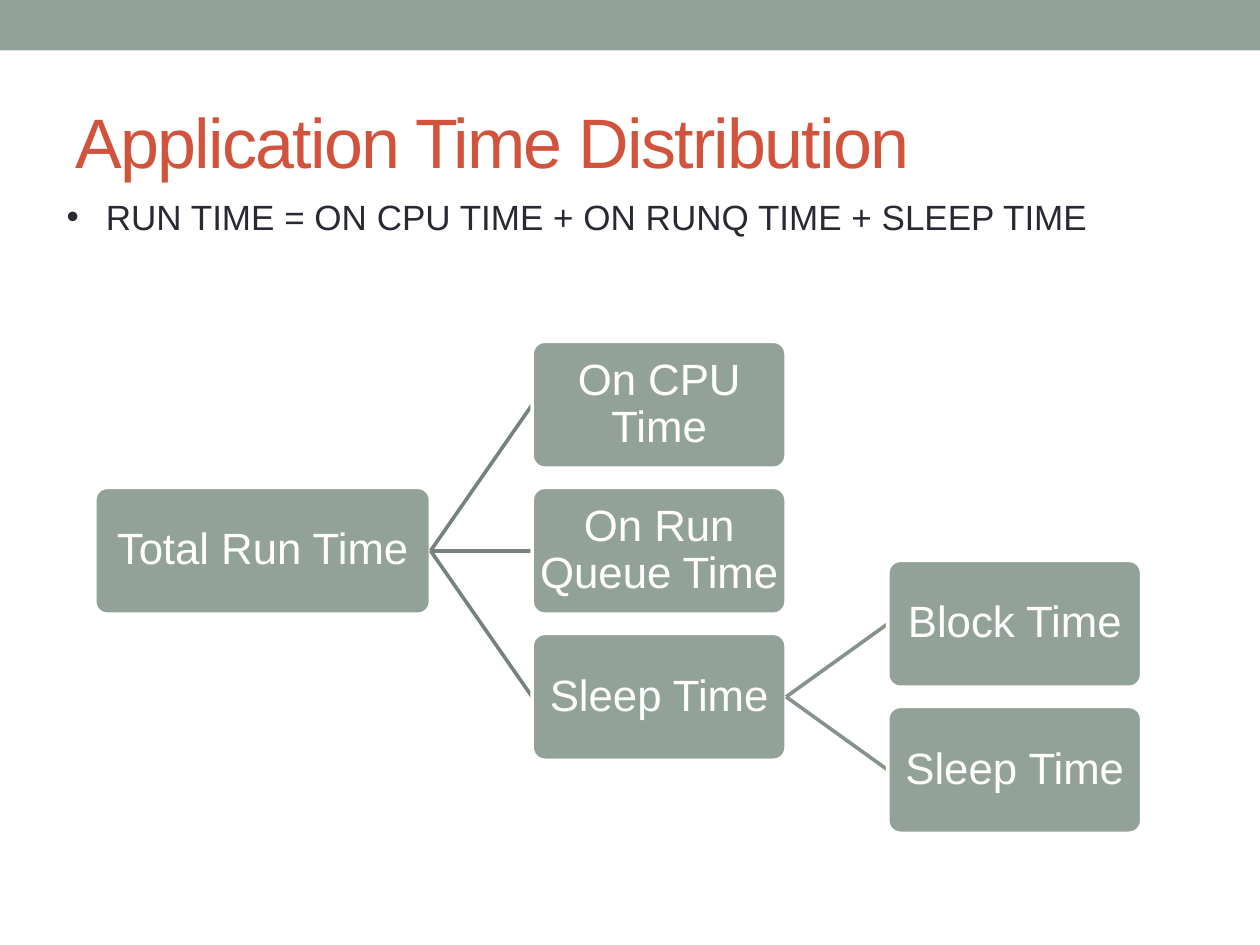
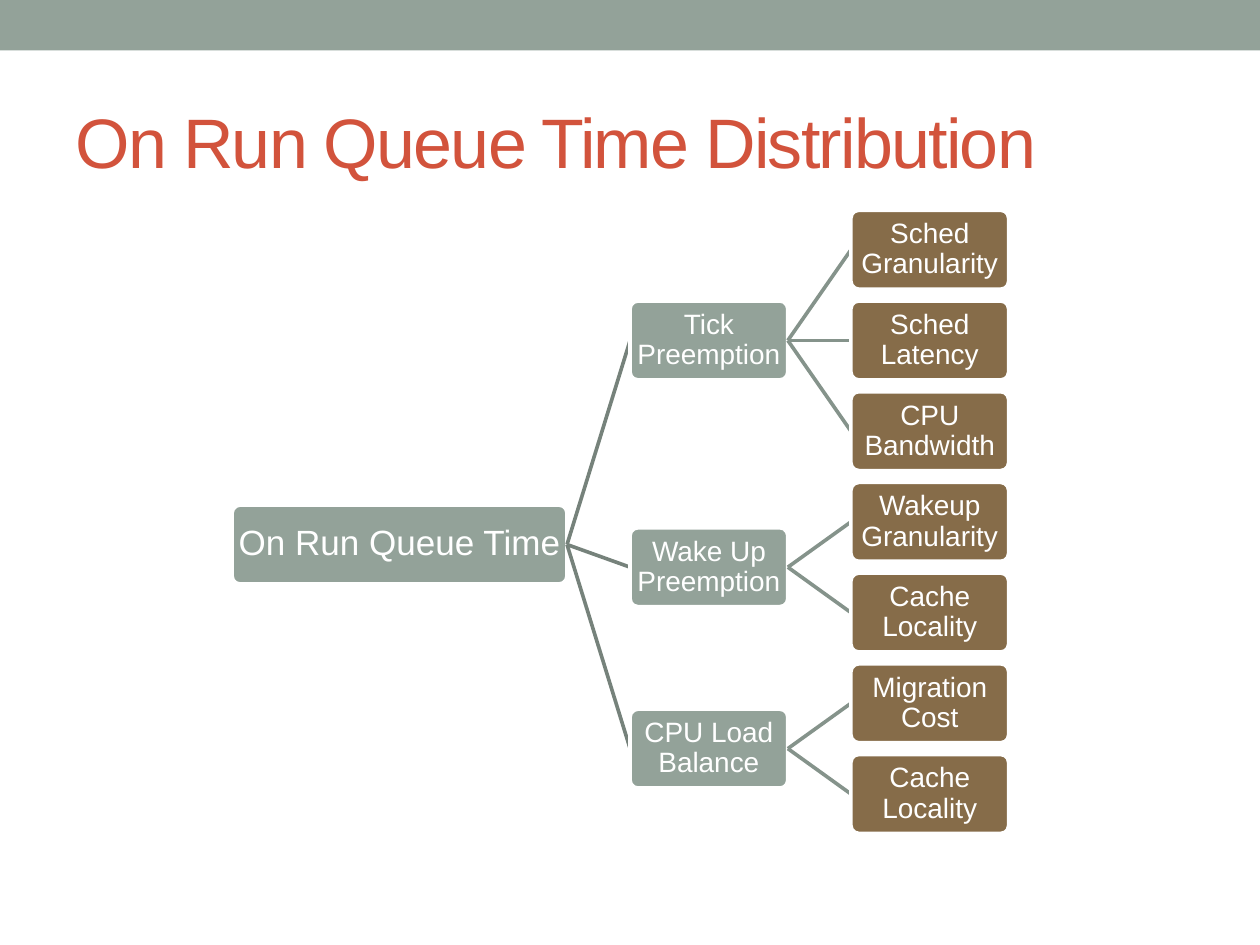
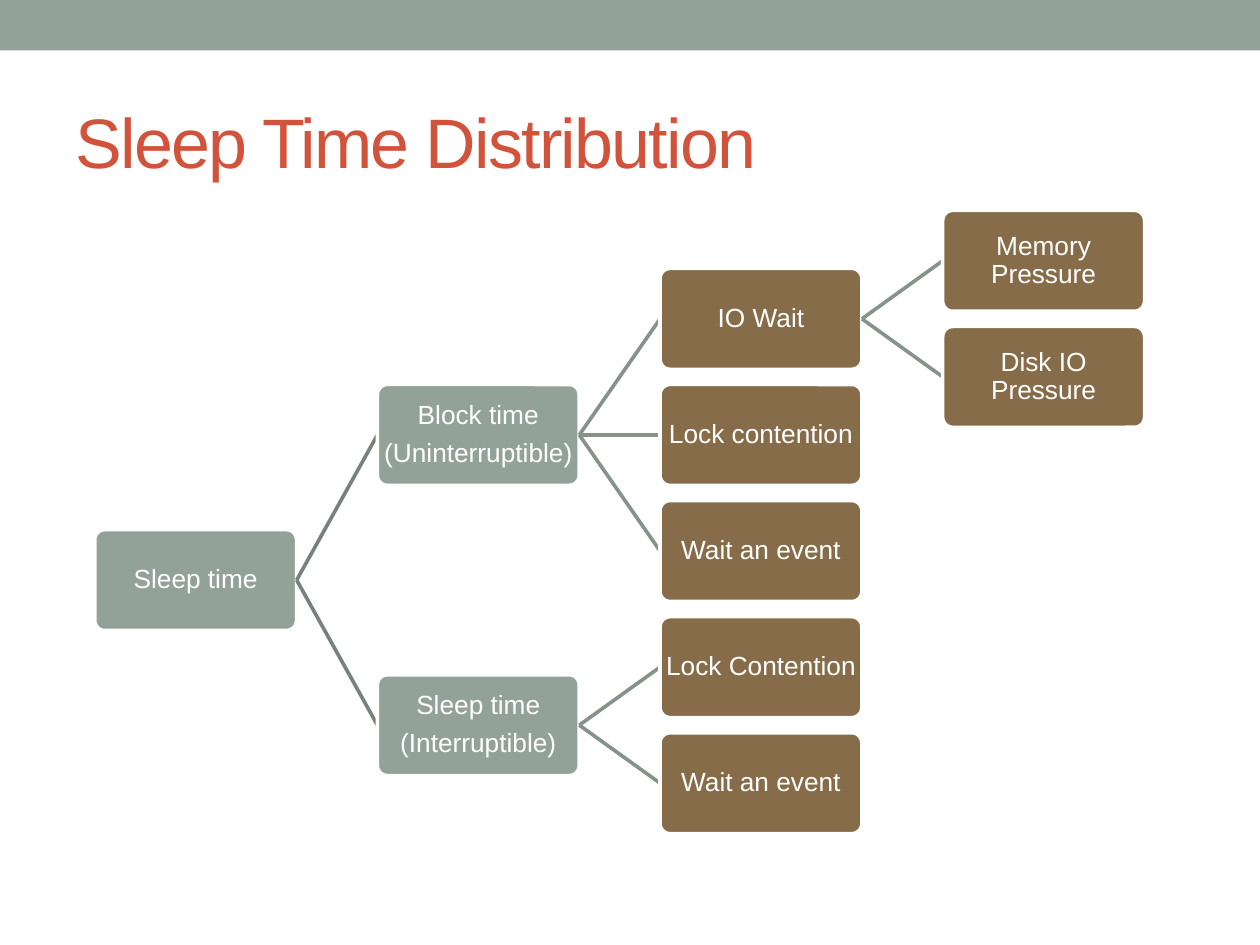
from dataclasses import dataclass, field

from lxml import etree
from pptx import Presentation
from pptx.dml.color import RGBColor
from pptx.enum.shapes import MSO_CONNECTOR, MSO_SHAPE
from pptx.enum.text import MSO_ANCHOR, MSO_AUTO_SIZE, PP_ALIGN
from pptx.oxml.ns import qn
from pptx.util import Cm, Pt

SAGE = RGBColor(0x93, 0xA2, 0x99)
BROWN = RGBColor(0x86, 0x6C, 0x49)
RED = RGBColor(0xD2, 0x53, 0x3C)
INK = RGBColor(0x29, 0x29, 0x34)
WHITE = RGBColor(0xFF, 0xFF, 0xFF)
DARK = RGBColor(0x76, 0x82, 0x7B)
LIGHT = RGBColor(0x85, 0x93, 0x8B)

RECT, ROUND = MSO_SHAPE.RECTANGLE, MSO_SHAPE.ROUNDED_RECTANGLE
STRAIGHT = MSO_CONNECTOR.STRAIGHT
LEFT, CENTER = PP_ALIGN.LEFT, PP_ALIGN.CENTER
MIDDLE, TOP = MSO_ANCHOR.MIDDLE, MSO_ANCHOR.TOP
NO_FIT = MSO_AUTO_SIZE.NONE

FONT = "Arial"
LINE = Pt(2.08)
LIST_PAGE, TITLE_PAGE = 1, 5  # layouts of the default template


@dataclass
class Node:
    """One box of a tree; row is counted in box steps from the top."""
    text: str
    kids: list = field(default_factory=list)
    row: float = 0


@dataclass
class Plan:
    """Size and place of a tree, in centimetres."""
    left: float
    top: float
    width: float
    root: float  # width of the first box
    size: int
    root_size: int
    fills: tuple  # one colour for each level

    @property
    def height(self):
        """Boxes are half as high as wide."""
        return self.width / 2

    def spot(self, node, level):
        """Return left, middle and width of a node's box."""
        wide = self.width if level else self.root
        left = self.left
        if level:
            left += self.root - self.width + level * 1.4 * self.width
        mid = self.top + (node.row * 1.15 + 0.5) * self.height
        return left, mid, wide


def style(frame, size, color, align):
    """Format every paragraph and run of a text frame."""
    for para in frame.paragraphs:
        para.alignment = align
        for run in para.runs:
            run.font.name = FONT
            run.font.size = Pt(size)
            run.font.color.rgb = color


def place(shape, left, top, width, height):
    """Move and size a shape in centimetres."""
    shape.left, shape.top = Cm(left), Cm(top)
    shape.width, shape.height = Cm(width), Cm(height)


def add_band(deck):
    """Put the top band on the master, behind all else."""
    slide = deck.slides[0]
    band = slide.shapes.add_shape(RECT, 0, 0, deck.slide_width, Cm(1.02))
    band.shadow.inherit = False
    band.fill.solid()
    band.fill.fore_color.rgb = SAGE
    band.line.fill.background()
    deck.slide_master.shapes._spTree.insert(2, band._element)


def add_page(deck, layout, text):
    """Add a slide with a styled title."""
    slide = deck.slides.add_slide(deck.slide_layouts[layout])
    title = slide.shapes.title
    place(title, 1.27, 1.47, 22.86, 2.74)
    frame = title.text_frame
    frame.text = text
    frame.vertical_anchor = MIDDLE
    frame.auto_size = NO_FIT
    style(frame, 40, RED, LEFT)
    for run in frame.paragraphs[0].runs:
        run.font._element.set("spc", "-100")
    return slide


def add_list(slide, text):
    """Fill the body placeholder with bullet text."""
    body = slide.placeholders[1]
    place(body, 1.09, 3.81, 23.04, 1.12)
    frame = body.text_frame
    frame.text = text
    frame.vertical_anchor = TOP
    frame.auto_size = NO_FIT
    style(frame, 20, INK, LEFT)
    for para in frame.paragraphs:
        para.space_before = Pt(0)
        props = para._p.get_or_add_pPr()
        props.set("marL", str(Cm(0.79)))
        props.set("indent", str(-Cm(0.79)))
        etree.SubElement(props, qn("a:buChar")).set("char", "•")


def add_box(slide, node, level, plan):
    """Draw one rounded box with its text."""
    left, mid, wide = plan.spot(node, level)
    high = plan.height
    box = slide.shapes.add_shape(
        ROUND, Cm(left), Cm(mid - high / 2), Cm(wide), Cm(high))
    box.adjustments[0] = 0.1
    box.shadow.inherit = False
    box.fill.solid()
    box.fill.fore_color.rgb = plan.fills[level]
    box.line.color.rgb = WHITE
    box.line.width = LINE
    frame = box.text_frame
    frame.text = node.text
    frame.word_wrap = True
    frame.vertical_anchor = MIDDLE
    frame.margin_left = frame.margin_right = Cm(0.03)
    frame.margin_top = frame.margin_bottom = Cm(0.03)
    size = plan.size if level else plan.root_size
    style(frame, size, WHITE, CENTER)
    for para in frame.paragraphs:
        para.line_spacing = 0.9
        para.space_after = Pt(0.35 * size)


def add_link(slide, node, kid, level, plan):
    """Draw the line from a node to one of its kids."""
    left, mid, wide = plan.spot(node, level)
    end, low, _ = plan.spot(kid, level + 1)
    link = slide.shapes.add_connector(
        STRAIGHT, Cm(left + wide), Cm(mid), Cm(end), Cm(low))
    link.line.color.rgb = LIGHT if level else DARK
    link.line.width = LINE
    etree.SubElement(link._element.spPr, qn("a:effectLst"))


def shift(node, level, step, free):
    """Move a branch down by some rows."""
    node.row += step
    free[level] = node.row + 1
    for kid in node.kids:
        shift(kid, level + 1, step, free)


def pack(node, level, free):
    """Centre a node on its kids, below the boxes already in its level."""
    for kid in node.kids:
        pack(kid, level + 1, free)
    node.row = free[level]
    if node.kids:
        node.row = (node.kids[0].row + node.kids[-1].row) / 2
    shift(node, level, max(0, free[level] - node.row), free)


def draw(slide, node, level, plan):
    """Draw a node, then each link and branch below it."""
    add_box(slide, node, level, plan)
    for kid in node.kids:
        add_link(slide, node, kid, level, plan)
        draw(slide, kid, level + 1, plan)


def add_tree(slide, root, plan):
    """Lay out and draw a whole tree."""
    pack(root, 0, [0] * len(plan.fills))
    draw(slide, root, 0, plan)


def leaves(*texts):
    """Make nodes without kids."""
    return [Node(text) for text in texts]


def main():
    """Build the deck."""
    deck = Presentation()
    deck.slide_width, deck.slide_height = Cm(25.4), Cm(19.05)

    slide = add_page(deck, LIST_PAGE, "Application Time Distribution")
    add_band(deck)
    total = Node("Total Run Time", [
        *leaves("On CPU Time", "On Run Queue Time"),
        Node("Sleep Time", leaves("Block Time", "Sleep Time")),
    ])
    add_tree(slide, total, Plan(1.91, 6.88, 5.12, 6.77, 25, 25, (SAGE,) * 3))
    add_list(slide, "RUN TIME = ON CPU TIME + ON RUNQ TIME + SLEEP TIME")

    slide = add_page(deck, TITLE_PAGE, "On Run Queue Time Distribution")
    queue = Node("On Run Queue Time", [
        Node("Tick Preemption", leaves(
            "Sched Granularity", "Sched Latency", "CPU Bandwidth")),
        Node("Wake Up Preemption", leaves(
            "Wakeup Granularity", "Cache Locality")),
        Node("CPU Load Balance", leaves("Migration Cost", "Cache Locality")),
    ])
    add_tree(slide, queue, Plan(
        4.68, 4.24, 3.18, 6.75, 16, 20, (SAGE, SAGE, BROWN)))

    slide = add_page(deck, TITLE_PAGE, "Sleep Time Distribution")
    sleep = Node("Sleep time", [
        Node("Block time\n(Uninterruptible)", [
            Node("IO Wait", leaves("Memory Pressure", "Disk IO Pressure")),
            *leaves("Lock contention", "Wait an event"),
        ]),
        Node("Sleep time\n(Interruptible)", leaves(
            "Lock Contention", "Wait an event")),
    ])
    add_tree(slide, sleep, Plan(
        1.91, 4.24, 4.07, 4.07, 15, 15, (SAGE, SAGE, BROWN, BROWN)))

    deck.save("out.pptx")


main()
